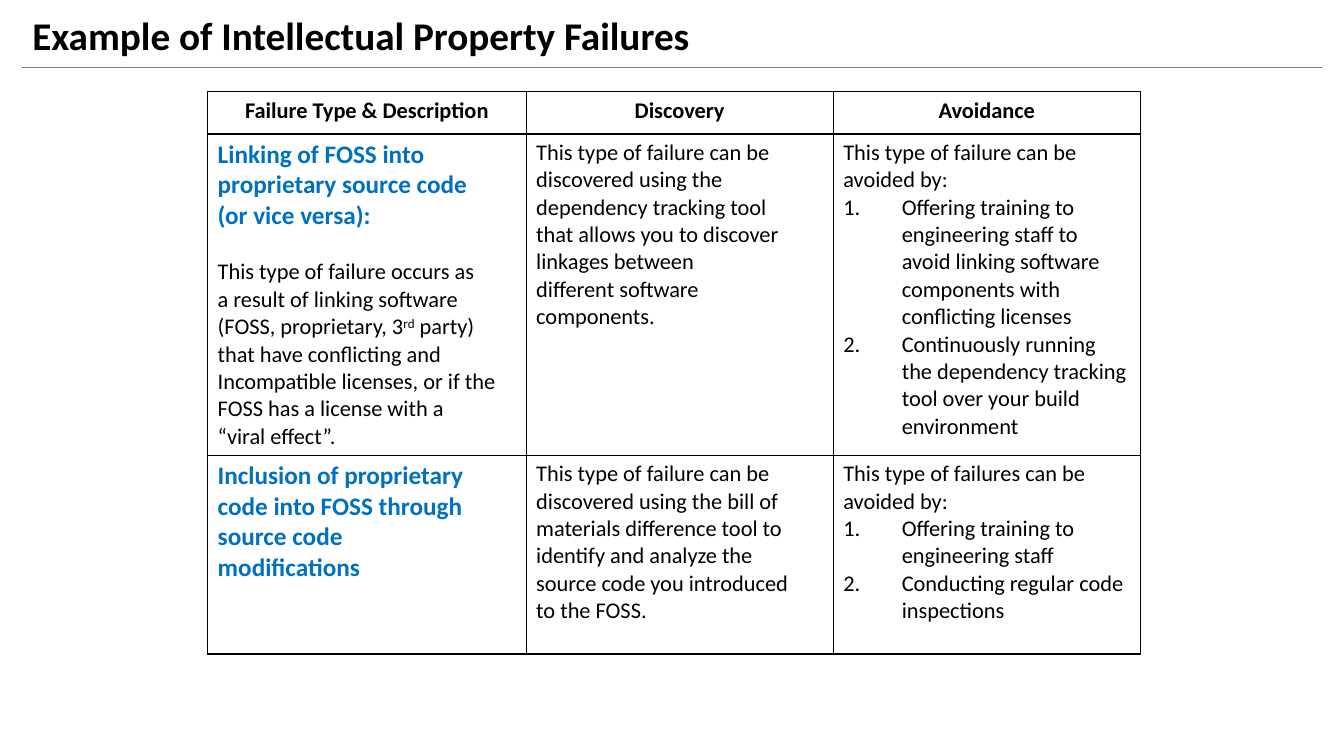
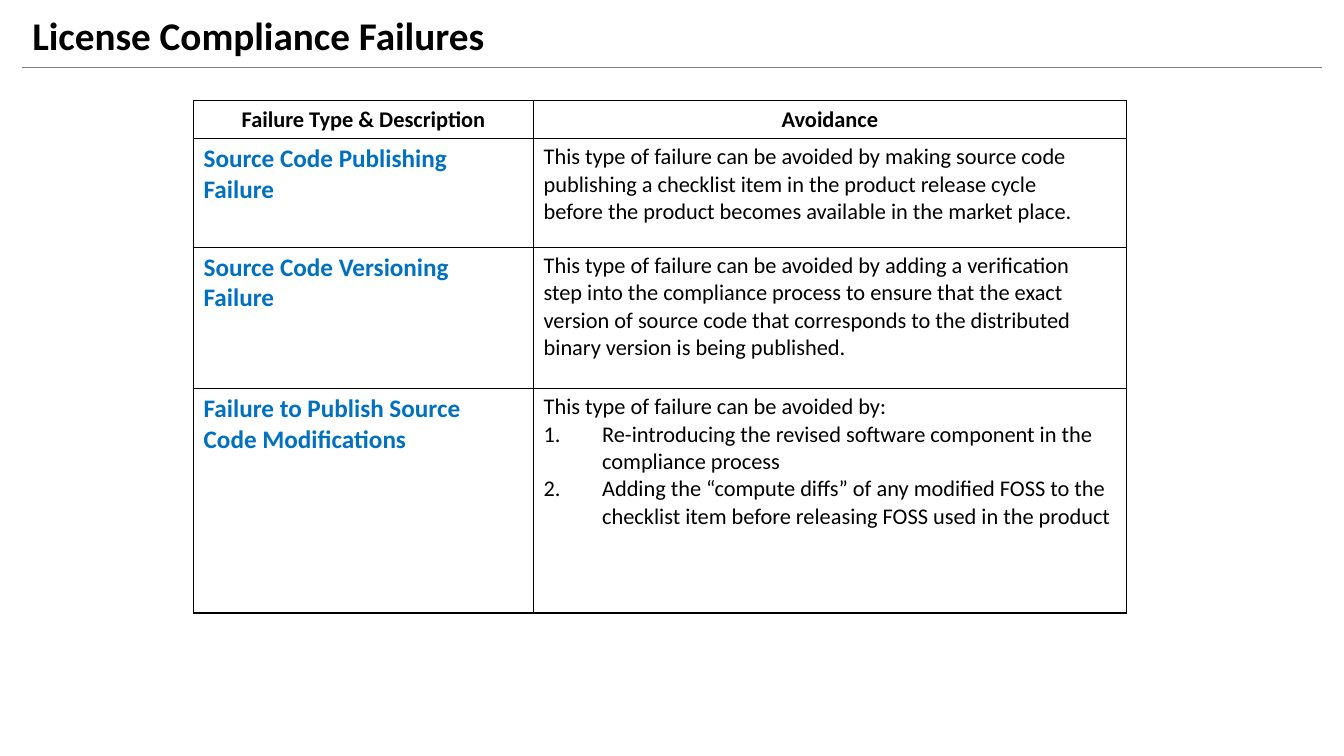
from lxml.etree import SubElement
from pptx import Presentation
from pptx.dml.color import RGBColor
from pptx.enum.shapes import MSO_CONNECTOR
from pptx.enum.text import MSO_ANCHOR, MSO_AUTO_SIZE, PP_ALIGN
from pptx.oxml.ns import qn
from pptx.util import Inches, Pt


def colour(code):
    """Turn a hex string into a colour."""
    return RGBColor.from_string(code)


class ComplianceDeck:
    """Holds the shared style and the slide being built."""

    BLACK, BLUE, GREY = "000000", "0070C0", "808080"
    LEFT, RIGHT, RULE_TOP = 1.65, 98.35, 8.93
    TITLE_BOX = {"left": 1.65, "top": 1.07, "width": 95.7, "height": 7.86}
    FONTS = {
        "title": ({"name": "Calibri", "size": Pt(28), "bold": True}, BLACK),
        "heading": ({"name": "Calibri", "size": Pt(16), "bold": True}, BLACK),
        "failure": ({"name": "Calibri", "size": Pt(18), "bold": True}, BLUE),
        "body": ({"name": "Calibri", "size": Pt(16), "bold": False}, BLACK),
    }
    FONTS["step"] = FONTS["body"]
    PARAGRAPHS = {
        "title": {"alignment": PP_ALIGN.LEFT, "line_spacing": 0.9},
        "heading": {"alignment": PP_ALIGN.CENTER},
    }
    STEP_INDENT = Inches(0.58)
    BLOCK_GAP = Pt(19.5)

    def __init__(self):
        """Open a widescreen deck and place the title on its layout."""
        self.deck = Presentation()
        self.deck.slide_width, self.deck.slide_height = Inches(13.33), Inches(7.5)
        self.layout = self.deck.slide_layouts.get_by_name("Title Only")
        self.slide = None

    def across(self, percent):
        """Give a share of the slide width."""
        return round(self.deck.slide_width * percent / 100)

    def down(self, percent):
        """Give a share of the slide height."""
        return round(self.deck.slide_height * percent / 100)

    def start_slide(self, title):
        """Add a slide with its rule and title."""
        self.slide = self.deck.slides.add_slide(self.layout)
        self.rule()
        self.title(title)

    def rule(self):
        """Draw the thin line under the title."""
        height = self.down(self.RULE_TOP)
        line = self.slide.shapes.add_connector(
            MSO_CONNECTOR.STRAIGHT,
            self.across(self.LEFT), height, self.across(self.RIGHT), height)
        line.line.color.rgb = colour(self.GREY)
        line.line.width = Pt(1)
        SubElement(line._element.spPr, qn("a:effectLst"))

    def title(self, text):
        """Fill and place the title placeholder."""
        box = self.slide.shapes.title
        for name, share in self.TITLE_BOX.items():
            measure = self.across if name in ("left", "width") else self.down
            setattr(box, name, measure(share))
        frame = box.text_frame
        frame.auto_size = MSO_AUTO_SIZE.NONE
        frame.vertical_anchor = MSO_ANCHOR.MIDDLE
        self.paragraph(frame.paragraphs[0], "title", text)

    def paragraph(self, para, kind, text):
        """Write one paragraph, with text between carets raised."""
        for name, value in self.PARAGRAPHS.get(kind, {}).items():
            setattr(para, name, value)
        values, code = self.FONTS[kind]
        for index, part in enumerate(text.split("^")):
            span = para.add_run()
            span.text = part
            for name, value in values.items():
                setattr(span.font, name, value)
            span.font.color.rgb = colour(code)
            if index % 2:
                span.font._element.set("baseline", "30000")
        if kind == "step":
            properties = para._p.get_or_add_pPr()
            properties.set("marL", str(self.STEP_INDENT))
            properties.set("indent", str(-self.STEP_INDENT))
            SubElement(properties, qn("a:buAutoNum"), type="arabicPeriod")

    def border(self, cell):
        """Draw a thin line on each side of a cell."""
        properties = cell._tc.get_or_add_tcPr()
        for side in ("lnL", "lnR", "lnT", "lnB"):
            line = SubElement(properties, qn(f"a:{side}"), w=str(Pt(1)))
            fill = SubElement(line, qn("a:solidFill"))
            SubElement(fill, qn("a:srgbClr"), val=self.BLACK)

    def cell(self, cell, blocks):
        """Fill a cell with blocks of one kind, a paragraph for each line."""
        self.border(cell)
        cell.fill.background()
        frame = cell.text_frame
        para = frame.paragraphs[0]
        previous = None
        for kind, text in blocks:
            for line in text.split("\n"):
                if previous:
                    para = frame.add_paragraph()
                if (previous, kind) == ("failure", "body"):
                    para.space_before = self.BLOCK_GAP
                self.paragraph(para, kind, line)
                previous = kind

    def table(self, left, top, widths, heights, headings, rows):
        """Add a table with a heading row."""
        grid = self.slide.shapes.add_table(
            len(heights), len(widths), self.across(left), self.down(top),
            self.across(sum(widths)), self.down(sum(heights))).table
        grid.first_row = grid.horz_banding = False
        for column, width in zip(grid.columns, widths):
            column.width = self.across(width)
        for row, height in zip(grid.rows, heights):
            row.height = self.down(height)
        heading_row = [[("heading", text)] for text in headings]
        for row, contents in zip(grid.rows, [heading_row, *rows]):
            for cell, blocks in zip(row.cells, contents):
                self.cell(cell, blocks)


PROPERTY_FAILURES = [
    [
        [("failure", "Linking of FOSS into\nproprietary source code\n(or vice versa):"),
         ("body", "This type of failure occurs as\na result of linking software\n"
                  "(FOSS, proprietary, 3^rd^ party)\nthat have conflicting and\n"
                  "Incompatible licenses, or if the\nFOSS has a license with a\n"
                  "“viral effect”.")],
        [("body", "This type of failure can be\ndiscovered using the\n"
                  "dependency tracking tool\nthat allows you to discover\n"
                  "linkages between\ndifferent software\ncomponents.")],
        [("body", "This type of failure can be\navoided by:"),
         ("step", "Offering training to engineering staff to avoid linking "
                  "software components with conflicting licenses"),
         ("step", "Continuously running the dependency tracking tool over "
                  "your build environment")],
    ],
    [
        [("failure", "Inclusion of proprietary\ncode into FOSS through\n"
                     "source code\nmodifications")],
        [("body", "This type of failure can be\ndiscovered using the bill of\n"
                  "materials difference tool to\nidentify and analyze the\n"
                  "source code you introduced\nto the FOSS.")],
        [("body", "This type of failures can be\navoided by:"),
         ("step", "Offering training to engineering staff"),
         ("step", "Conducting regular code inspections")],
    ],
]

LICENSE_FAILURES = [
    [
        [("failure", "Source Code Publishing\nFailure")],
        [("body", "This type of failure can be avoided by making source code\n"
                  "publishing a checklist item in the product release cycle\n"
                  "before the product becomes available in the market place.")],
    ],
    [
        [("failure", "Source Code Versioning\nFailure")],
        [("body", "This type of failure can be avoided by adding a verification\n"
                  "step into the compliance process to ensure that the exact\n"
                  "version of source code that corresponds to the distributed\n"
                  "binary version is being published.")],
    ],
    [
        [("failure", "Failure to Publish Source\nCode Modifications")],
        [("body", "This type of failure can be avoided by:"),
         ("step", "Re-introducing the revised software component in the "
                  "compliance process"),
         ("step", "Adding the “compute diffs” of any modified FOSS to the "
                  "checklist item before releasing FOSS used in the product")],
    ],
]


def main():
    """Build and save both slides."""
    builder = ComplianceDeck()
    builder.start_slide("Example of Intellectual Property Failures")
    builder.table(15.45, 12.13, [23.7, 22.85, 22.85], [5.6, 41.73, 26.27],
                  ["Failure Type & Description", "Discovery", "Avoidance"],
                  PROPERTY_FAILURES)
    builder.start_slide("License Compliance Failures")
    builder.table(14.4, 13.33, [25.3, 44.1], [4.93, 14.4, 18.67, 29.73],
                  ["Failure Type & Description", "Avoidance"],
                  LICENSE_FAILURES)
    builder.deck.save("out.pptx")


if __name__ == "__main__":
    main()
